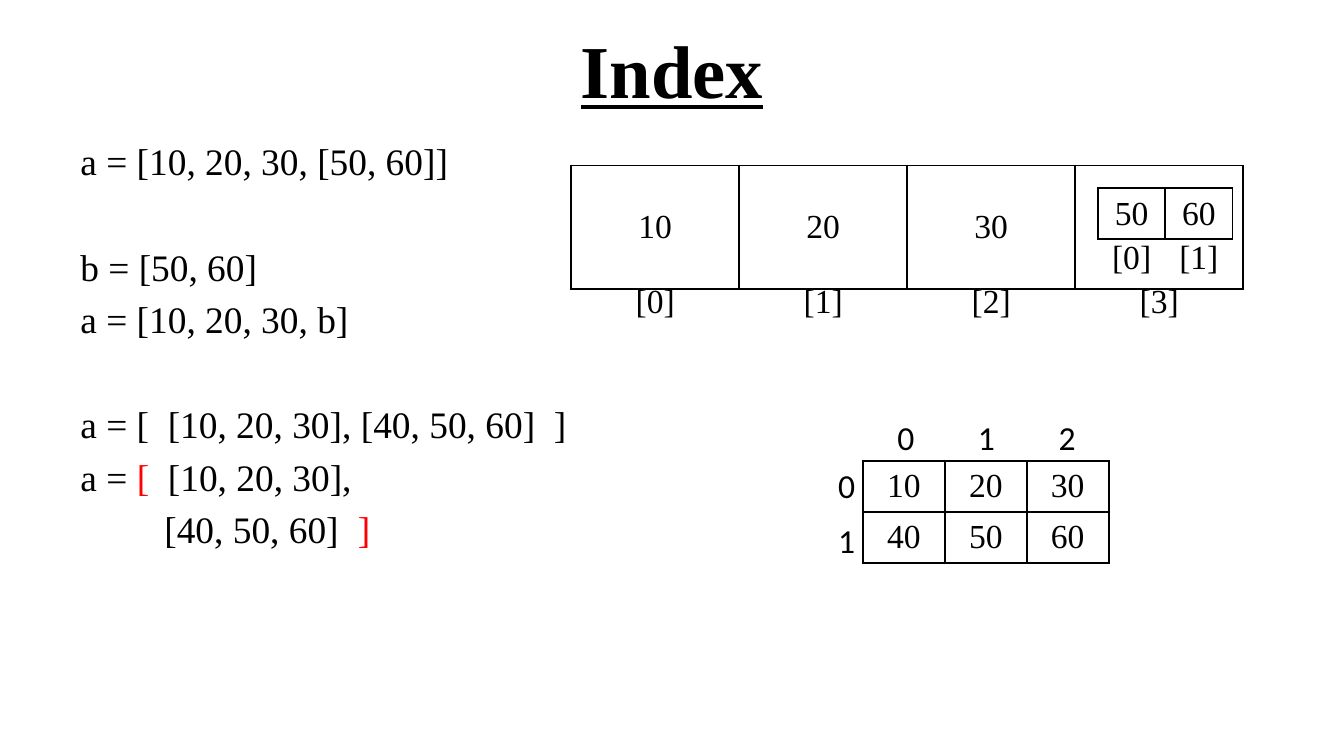
from lxml.etree import SubElement as Sub
from pptx import Presentation as Deck
from pptx.dml.color import RGBColor as Rgb
from pptx.enum.text import MSO_ANCHOR as Anchor, PP_ALIGN as Align
from pptx.oxml.ns import qn
from pptx.util import Inches, Pt

INK = {"black": "000000", "red": "FF0000"}
SERIF = "Times New Roman"
SANS = "Calibri"


class Page:
    def __init__(self, slide):
        self.slide = slide

    def run(self, para, text, size, face=SERIF, ink="black", bold=False):
        run = para.add_run()
        run.text = text
        font = run.font
        font.name = face
        font.size = Pt(size)
        font.bold = bold
        font.underline = bold
        font.color.rgb = Rgb.from_string(INK[ink])

    def box(self, left, top, width, height, anchor):
        frame = self.slide.shapes.add_textbox(
            Inches(left), Inches(top), Inches(width), Inches(height)).text_frame
        frame.word_wrap = True
        frame.vertical_anchor = anchor
        return frame

    def title(self, text):
        para = self.box(0.5, 0.04, 9, 0.94, Anchor.MIDDLE).paragraphs[0]
        para.alignment = Align.CENTER
        self.run(para, text, 40, bold=True)

    def code(self, lines):
        frame = self.box(0.5, 0.98, 9, 4.17, Anchor.TOP)
        for i, (gap, parts) in enumerate(lines):
            para = frame.paragraphs[0] if i == 0 else frame.add_paragraph()
            para.space_before = Pt(gap)
            for text, ink in parts:
                self.run(para, text, 20, ink=ink)

    def edge(self, cell, lined):
        props = cell._tc.get_or_add_tcPr()
        for side in ("a:lnL", "a:lnR", "a:lnT", "a:lnB"):
            line = Sub(props, qn(side), w=str(Pt(1)))
            if lined:
                fill = Sub(line, qn("a:solidFill"))
                Sub(fill, qn("a:srgbClr"), val=INK["black"])
            else:
                Sub(line, qn("a:noFill"))

    def grid(self, left, top, wide, high, rows, lined=False, face=SERIF):
        down, across = len(rows), len(rows[0])
        table = self.slide.shapes.add_table(
            down, across, Inches(left), Inches(top),
            Inches(wide * across), Inches(high * down)).table
        table.first_row = False
        table.horz_banding = False
        for col in table.columns:
            col.width = Inches(wide)
        for r, row in enumerate(rows):
            table.rows[r].height = Inches(high)
            for c, text in enumerate(row):
                cell = table.cell(r, c)
                self.edge(cell, lined)
                cell.fill.background()
                cell.vertical_anchor = Anchor.MIDDLE
                cell.margin_top = cell.margin_bottom = Inches(0.04)
                para = cell.text_frame.paragraphs[0]
                para.alignment = Align.CENTER
                if text:
                    self.run(para, text, 18, face)


def main():
    deck = Deck()
    deck.slide_width = Inches(10)
    deck.slide_height = Inches(10 * 9 / 16)
    page = Page(deck.slides.add_slide(deck.slide_layouts[6]))

    page.title("Index")
    near, far = 4, 32.5
    page.code([
        (0, [("a = [10, 20, 30, [50, 60]]", "black")]),
        (far, [("b = [50, 60]", "black")]),
        (near, [("a = [10, 20, 30, b]", "black")]),
        (far, [("a = [  [10, 20, 30], [40, 50, 60]  ]", "black")]),
        (near, [("a = ", "black"), ("[", "red"), ("  [10, 20, 30],", "black")]),
        (near, [("         [40, 50, 60]  ", "black"), ("]", "red")]),
    ])

    marks = [f"[{i}]" for i in range(4)]
    page.grid(4.25, 1.23, 1.25, 0.92, [["10", "20", "30", ""]], lined=True)
    page.grid(8.17, 1.4, 0.5, 0.38, [["50", "60"]], lined=True)
    page.grid(4.25, 2.06, 1.25, 0.38, [marks])
    page.grid(8.17, 1.73, 0.5, 0.38, [marks[:2]])

    cells = [["10", "20", "30"], ["40", "50", "60"]]
    page.grid(6.42, 3.43, 0.61, 0.38, cells, lined=True)
    page.grid(5.94, 3.42, 0.72, 0.41, [["0"], ["1"]], face=SANS)
    page.grid(6.44, 3.06, 0.6, 0.41, [["0", "1", "2"]], face=SANS)
    deck.save("out.pptx")


if __name__ == "__main__":
    main()
